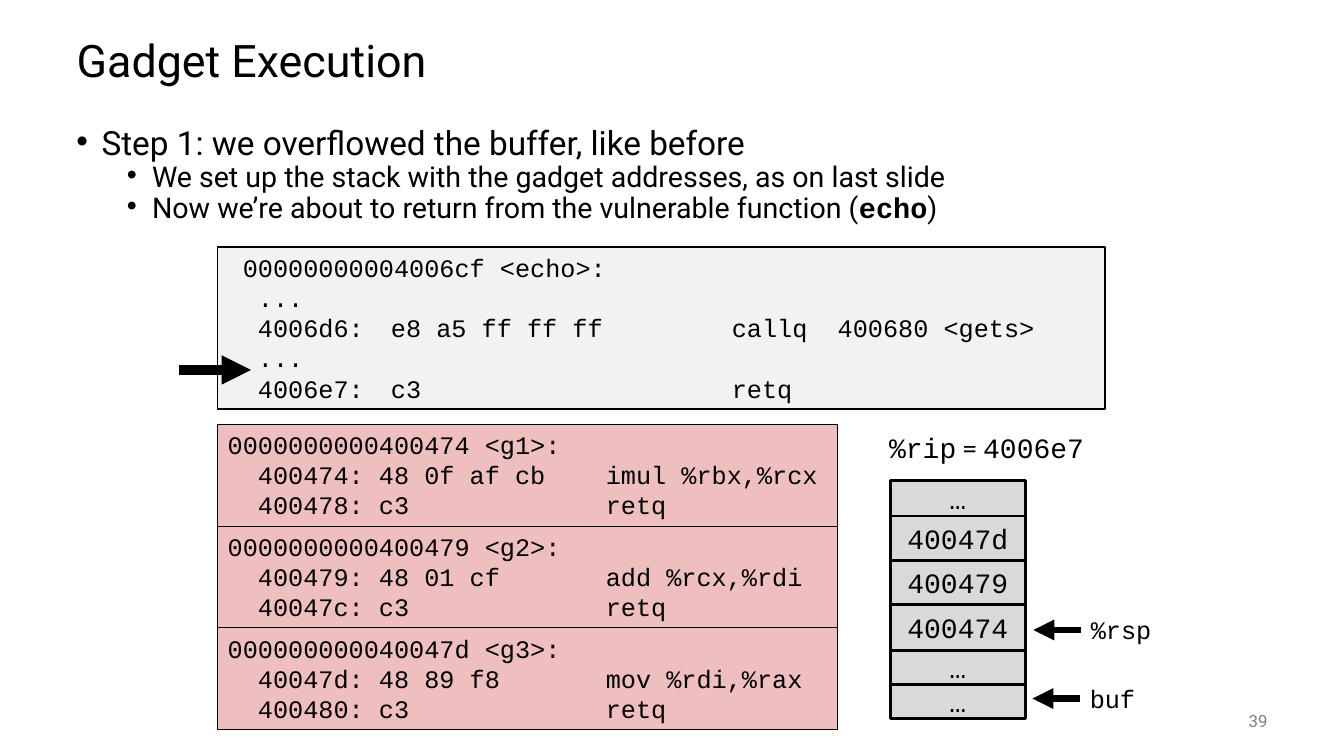
import pptx
import pptx.util
import pptx.dml.color
import pptx.enum.shapes
import pptx.enum.text
import pptx.oxml
import pptx.oxml.ns

PX = 9144
THEME = {
    "sans": "Roboto", "mono": "Courier New", "equals": "Calibri",
    "black": "000000", "grey": "808080", "code": "F2F2F2",
    "gadget": "EFBFBF", "stack": "D9D9D9",
    "title_size": 32, "step_size": 23.8, "detail_size": 20.4,
    "code_size": 18, "stack_size": 20, "number_size": 12,
}
ALIGN = pptx.enum.text.PP_ALIGN
ANCHOR = pptx.enum.text.MSO_ANCHOR
RECTANGLE = pptx.enum.shapes.MSO_SHAPE.RECTANGLE
STRAIGHT = pptx.enum.shapes.MSO_CONNECTOR.STRAIGHT


def color(name):
    return pptx.dml.color.RGBColor.from_string(THEME[name])


def write(shape, lines, font, size, align=ALIGN.LEFT, anchor=ANCHOR.TOP, ink="black"):
    frame = shape.text_frame
    frame.word_wrap = True
    frame.auto_size = pptx.enum.text.MSO_AUTO_SIZE.NONE
    frame.vertical_anchor = anchor
    for index, line in enumerate(lines):
        paragraph = frame.paragraphs[0] if index == 0 else frame.add_paragraph()
        paragraph.alignment = align
        for text, run_font, bold in [(line, font, False)] if isinstance(line, str) else line:
            run = paragraph.add_run()
            run.text = text
            run.font.name = THEME[run_font]
            run.font.size = pptx.util.Pt(THEME[size])
            run.font.bold = bold
            run.font.color.rgb = color(ink)
    return frame


presentation = pptx.Presentation()
presentation.slide_width = 1333 * PX
presentation.slide_height = 750 * PX
slide = presentation.slides.add_slide(presentation.slide_layouts[5])
shapes = slide.shapes

title = shapes.title
title.left, title.top, title.width, title.height = 66 * PX, 25 * PX, 1200 * PX, 75 * PX
write(title, ["Gadget Execution"], "sans", "title_size", anchor=ANCHOR.MIDDLE)
title.text_frame.paragraphs[0].line_spacing = 0.9

steps = shapes.add_textbox(66 * PX, 127 * PX, 1200 * PX, 104 * PX)
steps_frame = write(steps, [
    "Step 1: we overflowed the buffer, like before",
    "We set up the stack with the gadget addresses, as on last slide",
    [("Now we’re about to return from the vulnerable function (", "sans", False),
     ("echo", "mono", True), (")", "sans", False)],
], "sans", "detail_size")
for index, paragraph in enumerate(steps_frame.paragraphs):
    paragraph.line_spacing = 0.7
    paragraph.space_before = pptx.util.Pt(5 if index else 0)
    paragraph.level = 1 if index else 0
    properties = paragraph._p.get_or_add_pPr()
    properties.set("marL", str((75 if index else 25) * PX))
    properties.set("indent", str(-25 * PX))
    for tag, attribute, value in [("a:buFont", "typeface", "Arial"), ("a:buChar", "char", "•")]:
        bullet = pptx.oxml.parse_xml(f'<{tag} {pptx.oxml.ns.nsdecls("a")}/>')
        bullet.set(attribute, value)
        properties.append(bullet)
steps_frame.paragraphs[0].runs[0].font.size = pptx.util.Pt(THEME["step_size"])

gadgets = [
    ["0000000000400474 <g1>:",
     "  400474: 48 0f af cb    imul %rbx,%rcx",
     "  400478: c3             retq"],
    ["0000000000400479 <g2>:",
     "  400479: 48 01 cf       add %rcx,%rdi",
     "  40047c: c3             retq"],
    ["000000000040047d <g3>:",
     "  40047d: 48 89 f8       mov %rdi,%rax",
     "  400480: c3             retq"],
]
echo_code = [
    " 00000000004006cf <echo>:",
    "  ...",
    "  4006d6:\te8 a5 ff ff ff\tcallq  400680 <gets>",
    "  ...",
    "  4006e7:\tc3\tretq",
]
boxes = [(216, 421 + 101 * index, 615, 101, "gadget", 0.75, code, "code_size", ALIGN.LEFT, ANCHOR.TOP)
         for index, code in enumerate(gadgets)]
boxes.append((216, 245, 880, 161, "code", 1, echo_code, "code_size", ALIGN.LEFT, ANCHOR.TOP))

cell_top = 477
for text, height in [("…", 35), ("40047d", 44), ("400479", 44), ("400474", 45), ("…", 34), ("…", 34)]:
    boxes.append((883, cell_top, 134, height, "stack", 2, [text], "stack_size", ALIGN.CENTER, ANCHOR.MIDDLE))
    cell_top += height

for left, top, width, height, fill, weight, lines, size, align, anchor in boxes:
    box = shapes.add_shape(RECTANGLE, left * PX, top * PX, width * PX, height * PX)
    box.shadow.inherit = False
    box.fill.solid()
    box.fill.fore_color.rgb = color(fill)
    box.line.color.rgb = color("black")
    box.line.width = pptx.util.Pt(weight)
    frame = write(box, lines, "mono", size, align, anchor)
    if fill == "code":
        for paragraph in frame.paragraphs:
            paragraph._p.get_or_add_pPr().append(pptx.oxml.parse_xml(
                f'<a:tabLst {pptx.oxml.ns.nsdecls("a")}><a:tab pos="{162 * PX}" algn="l"/>'
                f'<a:tab pos="{500 * PX}" algn="l"/></a:tabLst>'))

arrows = [(178, 367, 249, 7, None), (1072, 625, 1025, 5, "%rsp"), (1071, 693, 1024, 5, "buf")]
for start, middle, end, weight, text in arrows:
    arrow = shapes.add_connector(STRAIGHT, start * PX, middle * PX, end * PX, middle * PX)
    arrow.line.color.rgb = color("black")
    arrow.line.width = pptx.util.Pt(weight)
    arrow.line._get_or_add_ln().append(pptx.oxml.parse_xml(
        f'<a:tailEnd {pptx.oxml.ns.nsdecls("a")} type="triangle"/>'))
    arrow._element.spPr.append(pptx.oxml.parse_xml(f'<a:effectLst {pptx.oxml.ns.nsdecls("a")}/>'))
    if text:
        label = shapes.add_textbox(start * PX, (middle - 20) * PX, 102 * PX, 40 * PX)
        write(label, [text], "mono", "code_size")
        arrow.begin_connect(label, 1)

instruction_pointer = shapes.add_textbox(872 * PX, 422 * PX, 220 * PX, 44 * PX)
write(instruction_pointer, [
    [("%rip", "mono", False), (" = ", "equals", False), ("4006e7", "mono", False)],
], "mono", "stack_size")

slide_number = shapes.add_textbox(1167 * PX, 695 * PX, 100 * PX, 40 * PX)
write(slide_number, ["39"], "sans", "number_size", ALIGN.RIGHT, ANCHOR.MIDDLE, "grey")

presentation.save("out.pptx")
